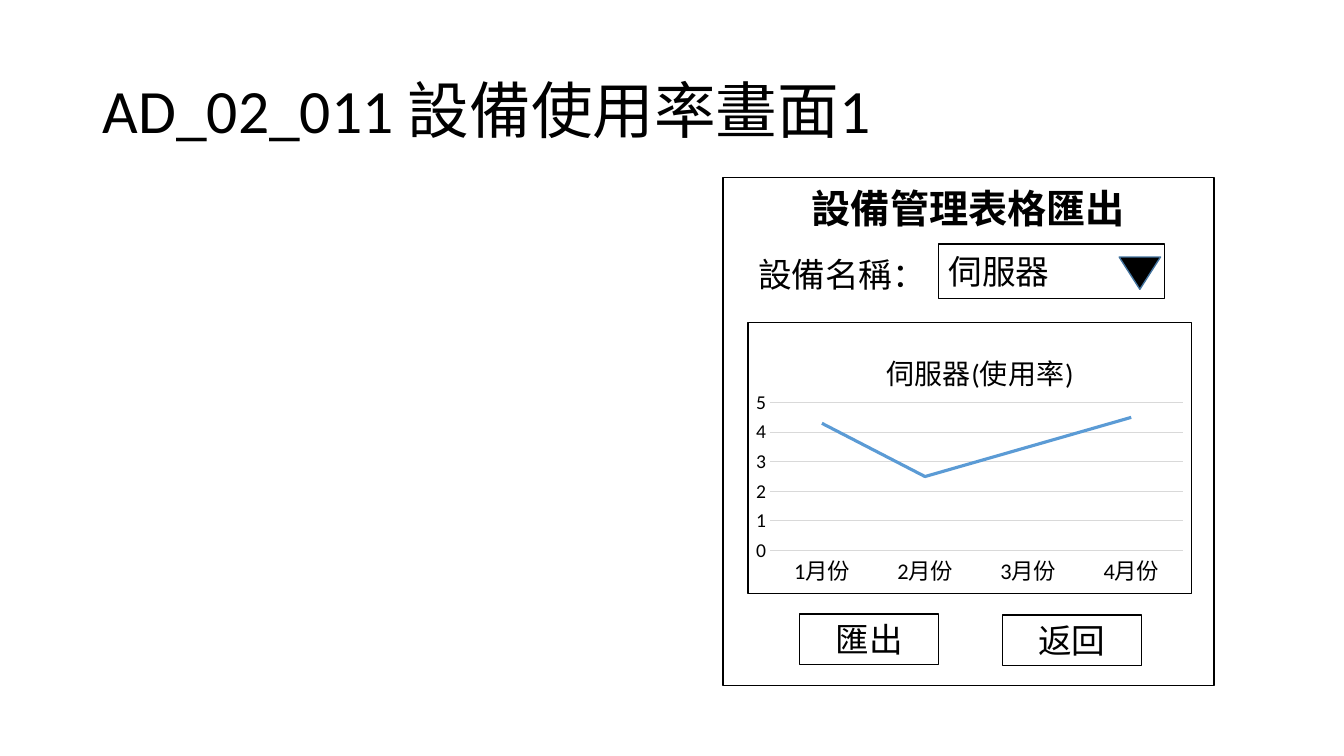
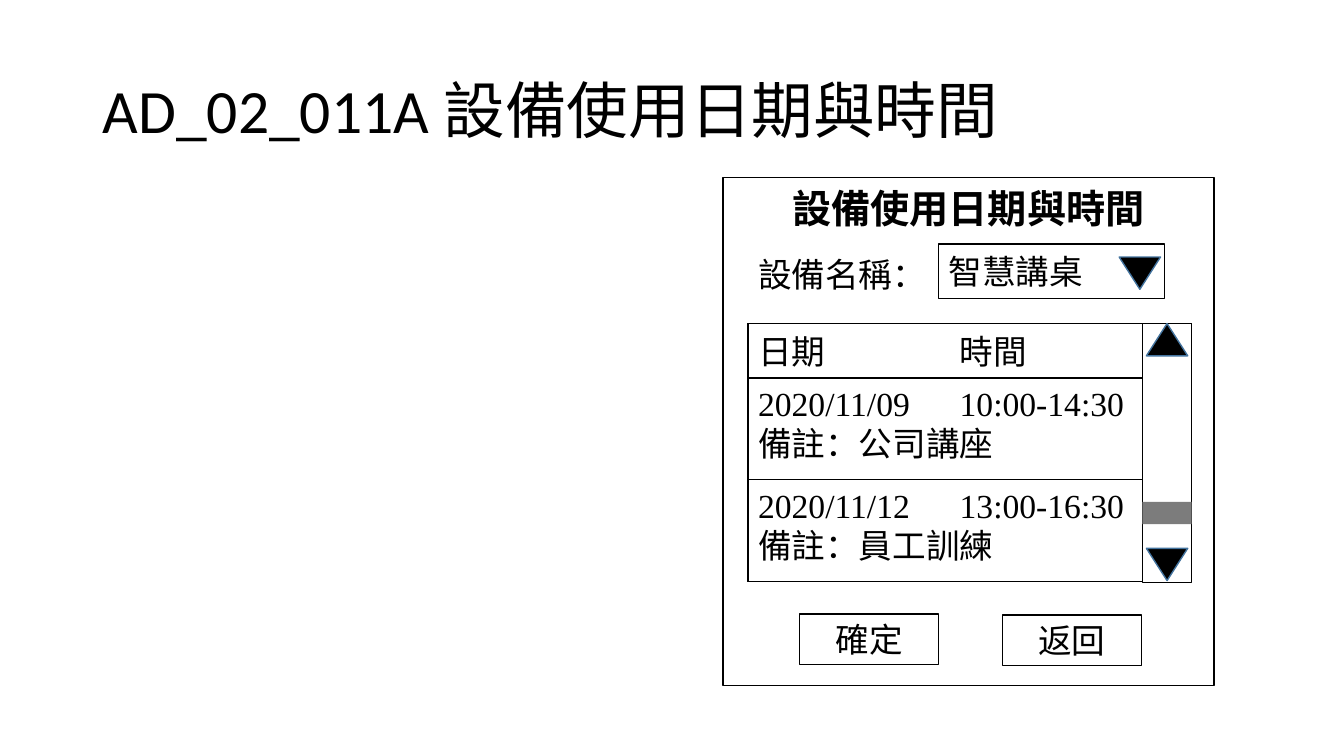
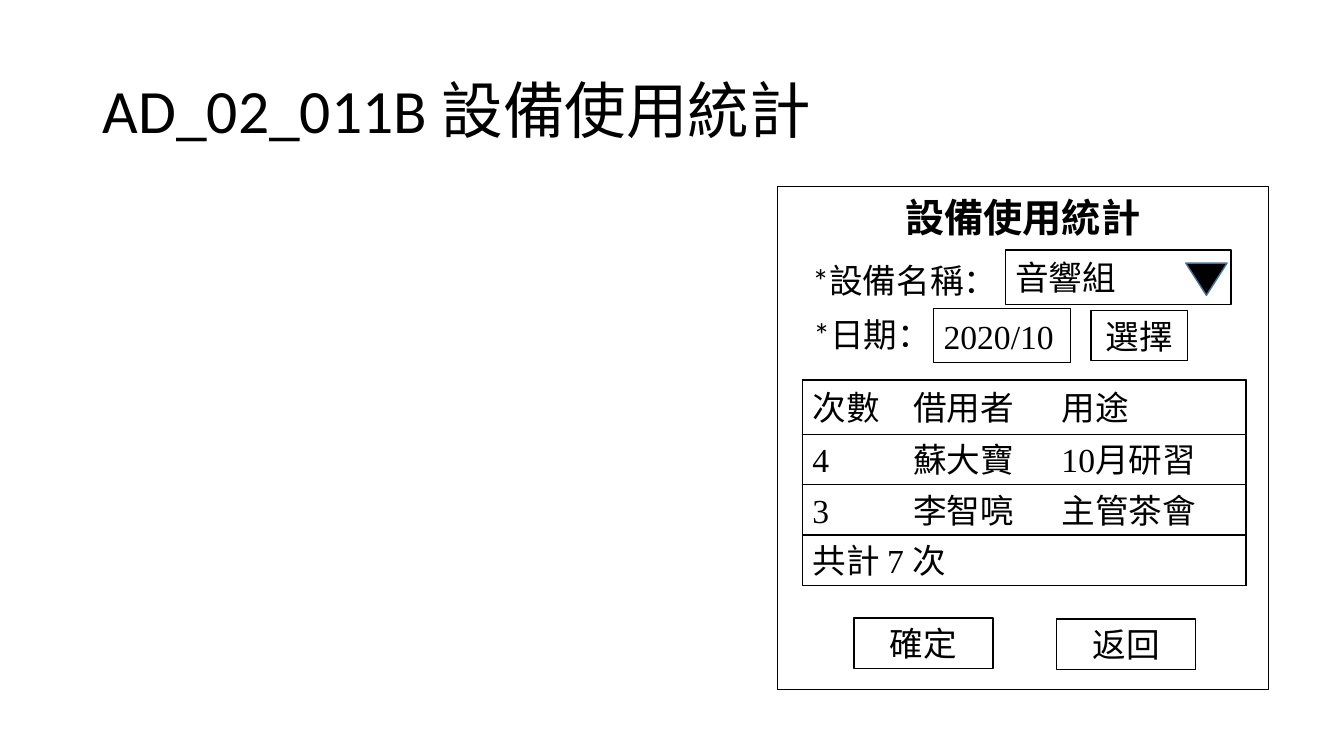
from lxml.etree import SubElement
from pptx import Presentation
from pptx.chart.data import CategoryChartData
from pptx.dml.color import RGBColor
from pptx.enum.chart import XL_CHART_TYPE, XL_TICK_MARK
from pptx.enum.shapes import MSO_SHAPE
from pptx.enum.text import MSO_ANCHOR, PP_ALIGN
from pptx.oxml import parse_xml
from pptx.oxml.ns import nsdecls, qn
from pptx.util import Pt

PX = 9144
BLACK = RGBColor(0, 0, 0)
WHITE = RGBColor(255, 255, 255)
GRAY = RGBColor(0x7C, 0x7C, 0x7C)
PALE = RGBColor(0xD9, 0xD9, 0xD9)
BLUE = RGBColor(0x5B, 0x9B, 0xD5)
NAVY = RGBColor(0x43, 0x73, 0x9E)
SANS = "Calibri"
SERIF = "Times New Roman"
HAN = "Noto Sans CJK SC"


def scale(*nums):
    """Turn px lengths into EMU."""
    return [num * PX for num in nums]


def write(shape, lines, size=24, face=SANS, bold=False, align=PP_ALIGN.LEFT,
          anchor=MSO_ANCHOR.MIDDLE, stops=(), pitch=None):
    """Fill a shape with lines of text."""
    frame = shape.text_frame
    frame.word_wrap = True
    frame.vertical_anchor = anchor
    for num, line in enumerate(lines):
        para = frame.add_paragraph() if num else frame.paragraphs[0]
        if stops:
            tabs = SubElement(para._p.get_or_add_pPr(), qn("a:tabLst"))
            for stop in stops:
                SubElement(tabs, qn("a:tab"), pos=str(stop * PX), algn="l")
        para.alignment = align
        if pitch:
            para.line_spacing = pitch
        run = para.add_run()
        run.text = line
        font = run.font
        font.size, font.name, font.bold = Pt(size), face, bold
        font.color.rgb = BLACK
        SubElement(run._r.get_or_add_rPr(), qn("a:ea"), typeface=HAN)


def label(slide, box, lines, **style):
    """Add a text box."""
    write(slide.shapes.add_textbox(*scale(*box)), lines, **style)


def block(slide, box, fill=WHITE, line=BLACK, kind=MSO_SHAPE.RECTANGLE):
    """Add a plain shape with optional fill and line."""
    shape = slide.shapes.add_shape(kind, *scale(*box))
    shape.shadow.inherit = False
    if fill is None:
        shape.fill.background()
    else:
        shape.fill.solid()
        shape.fill.fore_color.rgb = fill
    if line is None:
        shape.line.fill.background()
    else:
        shape.line.color.rgb = line
        shape.line.width = Pt(1)
    return shape


def button(slide, box, text):
    """Add a button with centred text."""
    write(block(slide, box), [text], align=PP_ALIGN.CENTER)


def arrow(slide, x, y, down=True):
    """Add a small solid triangle."""
    shape = block(slide, (x, y, 41, 32), BLACK, NAVY, MSO_SHAPE.ISOSCELES_TRIANGLE)
    shape.rotation = 180 if down else 0


def form(deck, title, box, head, name, pick, left, top, act):
    """Add a slide with its title and the shared parts of a form panel."""
    slide = deck.slides.add_slide(deck.slide_layouts[6])
    label(slide, (92, 40, 1150, 145), [title], size=44, pitch=0.9)
    x, y, wide, high = box
    block(slide, box, None)
    label(slide, (x, y - 1, wide, 62), [head], size=28, face=HAN, bold=True,
          align=PP_ALIGN.CENTER)
    label(slide, (x + 25, y + top + 5, 212, 50), [name], anchor=MSO_ANCHOR.TOP)
    write(block(slide, (x + left, y + top, 224, 54)), [pick])
    arrow(slide, x + left + 179, y + top + 13)
    for num, text in enumerate((act, "返回")):
        button(slide, (x + 76 + 201 * num, y + high - 71 + num, 138, 50), text)
    return slide


def grid(slide, x, y, head, rows, step, stops):
    """Add a framed list: a heading row and equal rows below it."""
    block(slide, (x, y, 440, 54 + step * len(rows)), None)
    write(block(slide, (x, y, 440, 54)), [head], stops=stops)
    for num, lines in enumerate(rows):
        row = block(slide, (x, y + 54 + step * num, 440, step))
        write(row, lines, face=SERIF, anchor=MSO_ANCHOR.TOP, stops=stops)


def scroll(slide, x, y, high):
    """Add a scroll bar with its arrows and thumb."""
    block(slide, (x, y, 49, high))
    arrow(slide, x + 4, y + high - 34)
    arrow(slide, x + 4, y, False)
    block(slide, (x, y + 177, 49, 22), GRAY, None)


def layout(node, spot, **parts):
    """Place a chart part by fractions of the chart area."""
    for old in node.findall(qn("c:layout")):
        node.remove(old)
    new = parse_xml(f"<c:layout {nsdecls('c')}><c:manualLayout/></c:layout>")
    for key, val in parts.items():
        SubElement(new[0], qn(f"c:{key}"), val=str(val))
    node.insert(spot, new)


def graph(slide, x, y, wide, high):
    """Add the framed line chart of monthly use."""
    block(slide, (x, y, wide, high), None)
    data = CategoryChartData()
    data.categories = ["1月份", "2月份", "3月份", "4月份"]
    data.add_series("Series 1", (4.3, 2.5, 3.5, 4.5))
    chart = slide.shapes.add_chart(
        XL_CHART_TYPE.LINE, *scale(x, y + 2, wide, high - 2), data).chart
    chart.has_legend = False
    chart.font.size, chart.font.name = Pt(10), SANS
    chart.font.color.rgb = BLACK
    chart.has_title = True
    run = chart.chart_title.text_frame.paragraphs[0].add_run()
    run.text = "伺服器(使用率)"
    run.font.size, run.font.name, run.font.bold = Pt(20), SANS, False
    run.font.color.rgb = BLACK
    layout(chart.chart_title._element, 1, xMode="edge", yMode="edge", x=0.3, y=0.07)
    layout(chart._chartSpace.find(".//" + qn("c:plotArea")), 0, layoutTarget="inner",
           xMode="edge", yMode="edge", x=0.05, y=0.29, w=0.93, h=0.55)
    for axis, size in ((chart.category_axis, 16), (chart.value_axis, 14)):
        axis.major_tick_mark = axis.minor_tick_mark = XL_TICK_MARK.NONE
        font = axis.tick_labels.font
        font.size, font.name = Pt(size), SANS
        font.color.rgb = BLACK
    months, rate = chart.category_axis, chart.value_axis
    rate.minimum_scale, rate.maximum_scale, rate.major_unit = 0, 5, 1
    rate.has_major_gridlines = True
    rate.format.line.fill.background()
    for line in (months.format.line, rate.major_gridlines.format.line):
        line.color.rgb = PALE
        line.width = Pt(0.75)
    chart.plots[0].vary_by_categories = False
    trend = chart.plots[0].series[0]
    trend.smooth = False
    trend.format.line.color.rgb = BLUE
    trend.format.line.width = Pt(2.25)


def usage(deck):
    """Build the usage rate slide."""
    slide = form(deck, "AD_02_011 設備使用率畫面1", (717, 176, 487, 504),
                 "設備管理表格匯出", "設備名稱：", "伺服器", 214, 66, "匯出")
    graph(slide, 742, 320, 440, 269)


def dates(deck):
    """Build the dates and times slide."""
    slide = form(deck, "AD_02_011A 設備使用日期與時間", (717, 176, 487, 504),
                 "設備使用日期與時間", "設備名稱：", "智慧講桌", 214, 66, "確定")
    rows = [("2020/11/09\t10:00-14:30", "備註：公司講座"),
            ("2020/11/12\t13:00-16:30", "備註：員工訓練")]
    grid(slide, 742, 321, "日期\t時間", rows, 101, (200,))
    scroll(slide, 1133, 321, 257)


def totals(deck):
    """Build the usage totals slide."""
    slide = form(deck, "AD_02_011B 設備使用統計", (771, 185, 487, 499),
                 "設備使用統計", "*設備名稱：", "音響組", 226, 63, "確定")
    label(slide, (797, 307, 130, 50), ["*日期："], anchor=MSO_ANCHOR.TOP)
    write(block(slide, (926, 306, 136, 54)), ["2020/10"], face=SERIF)
    button(slide, (1082, 308, 96, 50), "選擇")
    rows = [["4\t蘇大寶\t10月研習"], ["3\t李智喨\t主管茶會"], ["共計 7 次"]]
    grid(slide, 796, 377, "次數\t借用者\t用途", rows, 50, (100, 247))


def main():
    """Build and save the deck."""
    deck = Presentation()
    deck.slide_width, deck.slide_height = scale(1333, 750)
    for build in (usage, dates, totals):
        build(deck)
    deck.save("out.pptx")


if __name__ == "__main__":
    main()
